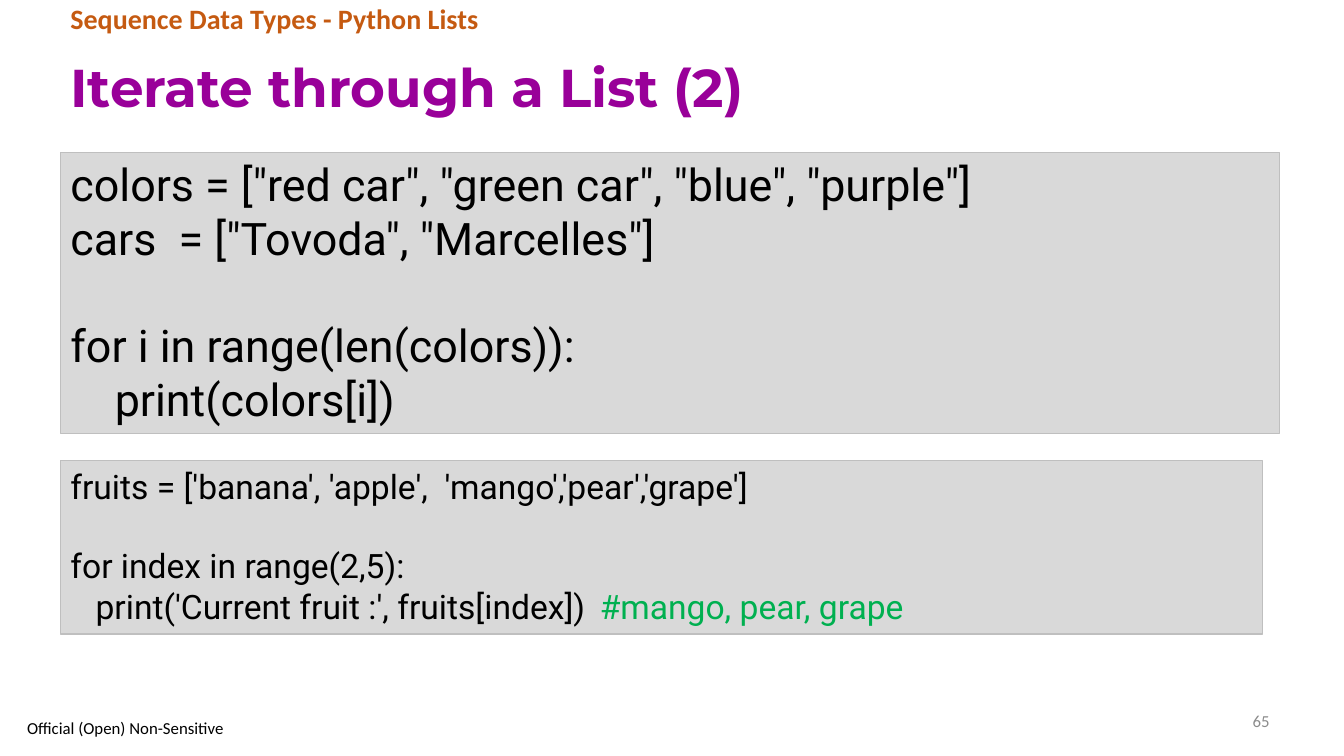
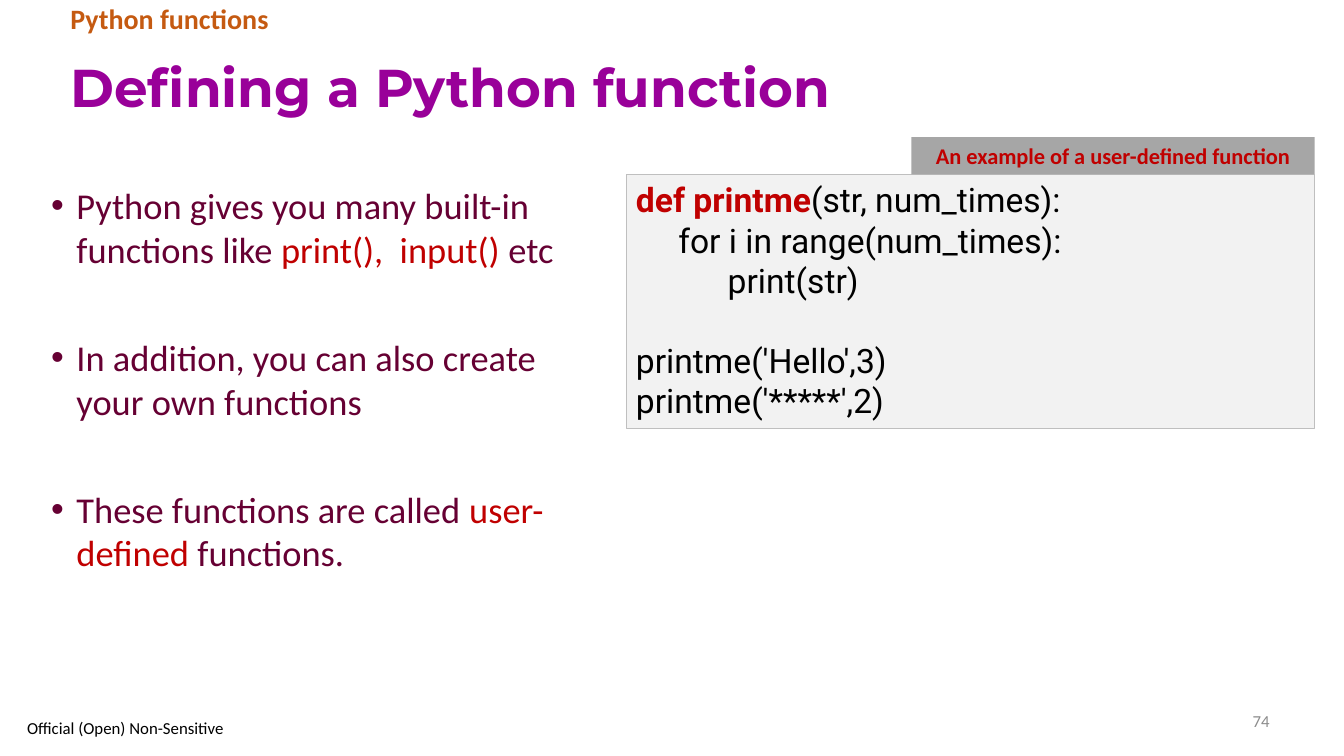
from lxml import etree
from pptx import Presentation
from pptx.dml.color import RGBColor
from pptx.enum import shapes, text
from pptx.oxml import ns
from pptx.util import Inches, Pt

HUES = {"title": "990099", "tag": "C55A11", "page": "8C8C8C", "ink": "000000",
        "body": "660033", "key": "C00000", "note": "00B050", "code": "D9D9D9",
        "pale": "F2F2F2", "edge": "BFBFBF", "label": "A6A6A6"}
MID = text.MSO_ANCHOR.MIDDLE
STYLES = {
    "title": dict(font=dict(name="Montserrat", size=Pt(38), bold=True), hue="title",
                  para=dict(line_spacing=0.9), frame=dict(vertical_anchor=MID)),
    "tag": dict(font=dict(name="Calibri", size=Pt(20), bold=True), hue="tag",
                para=dict(line_spacing=0.9)),
    "page": dict(font=dict(name="Calibri", size=Pt(12)), hue="page",
                 para=dict(alignment=text.PP_ALIGN.RIGHT), frame=dict(vertical_anchor=MID)),
    "foot": dict(font=dict(name="Calibri", size=Pt(12)), hue="ink",
                 frame=dict(vertical_anchor=MID)),
    "body": dict(font=dict(name="Calibri", size=Pt(26)), hue="body"),
    "label": dict(font=dict(name="Calibri", size=Pt(16), bold=True), hue="key",
                  para=dict(alignment=text.PP_ALIGN.CENTER)),
    "code": dict(font=dict(name="Roboto", size=Pt(24)), hue="ink"),
    "large": dict(font=dict(name="Roboto", size=Pt(32)), hue="ink"),
}
CODE = dict(alignment=text.PP_ALIGN.LEFT)


def apply(obj, vals):
    """Set each named value on an object."""
    for name, val in vals.items():
        setattr(obj, name, val)


def rgb(hue):
    """Look up a colour by name."""
    return RGBColor.from_string(HUES[hue])


def write(shape, style, lines):
    """Fill a shape with lines of (runs, paragraph format)."""
    look = STYLES[style]
    frame = shape.text_frame
    apply(frame, dict(word_wrap=True, vertical_anchor=text.MSO_ANCHOR.TOP))
    apply(frame, look.get("frame", {}))
    for num, (runs, form) in enumerate(lines):
        para = frame.add_paragraph() if num else frame.paragraphs[0]
        apply(para, {**look.get("para", {}), **form})
        for words, hue, *bold in runs:
            run = para.add_run()
            run.text = words
            apply(run.font, look["font"])
            run.font.color.rgb = rgb(hue or look["hue"])
            if bold:
                run.font.bold = bold[0]
    return frame


def label(slide, box, style, words):
    """Place one line of plain text."""
    shape = slide.shapes.add_textbox(*map(Inches, box))
    write(shape, style, [([(words, None)], {})])


def panel(slide, box, style, lines, fill, edge=None):
    """Place a filled rectangle holding text."""
    shape = slide.shapes.add_shape(shapes.MSO_SHAPE.RECTANGLE, *map(Inches, box))
    shape.shadow.inherit = False
    shape.fill.solid()
    shape.fill.fore_color.rgb = rgb(fill)
    if edge:
        shape.line.color.rgb = rgb(edge)
        shape.line.width = Pt(0.75)
    else:
        shape.line.fill.background()
    return write(shape, style, lines)


def props(para, **vals):
    """Set paragraph indents in inches and return its properties."""
    node = para._p.get_or_add_pPr()
    for name, val in vals.items():
        node.set(name, str(Inches(val)))
    return node


def code(slide, box, style, rows, fill="code", tab=None):
    """Place a code panel from rows of (indent, gap in points, runs)."""
    lines = [(runs, {**CODE, "space_before": Pt(gap)}) for _, gap, runs in rows]
    frame = panel(slide, box, style, lines, fill, "edge")
    for para, (dent, *_) in zip(frame.paragraphs, rows):
        node = props(para, marL=dent, indent=0)
        if tab:
            stops = etree.SubElement(node, ns.qn("a:tabLst"))
            etree.SubElement(stops, ns.qn("a:tab"), pos=str(Inches(tab)), algn="l")


def points(slide, box, items, gap):
    """Place a bulleted list with even gaps."""
    shape = slide.shapes.add_textbox(*map(Inches, box))
    lines = [(runs, {"space_before": Pt(gap if num else 0)})
             for num, runs in enumerate(items)]
    for para in write(shape, "body", lines).paragraphs:
        node = props(para, marL=0.25, indent=-0.25)
        etree.SubElement(node, ns.qn("a:buFont"), typeface="Arial")
        etree.SubElement(node, ns.qn("a:buChar"), char="•")


def base(deck, tag, title, page):
    """Start a slide with its shared title, tag and footers."""
    slide = deck.slides.add_slide(deck.slide_layouts[6])
    label(slide, (0.6, 0.41, 12.09, 0.97), "title", title)
    label(slide, (0.6, 0, 10.34, 0.41), "tag", tag)
    label(slide, (9.42, 6.95, 3.27, 0.4), "page", page)
    label(slide, (0.17, 7.09, 2.24, 0.26), "foot", "Official (Open) Non-Sensitive")
    return slide


def loops(deck):
    """Build the slide on looping over lists."""
    slide = base(deck, "Sequence Data Types - Python Lists", "Iterate through a List (2)", "65")
    code(slide, (0.6, 1.51, 12.09, 2.79), "large", [
        (0, 0, [('colors = ["red car", "green car", "blue", "purple"]', None)]),
        (0, 0, [('cars  = ["Tovoda", "Marcelles"]', None)]),
        (0, 38, [("for i in range(len(colors)):", None)]),
        (0.44, 0, [("print(colors[i])", None)])])
    code(slide, (0.6, 4.57, 11.92, 1.72), "code", [
        (0, 0, [("fruits = ['banana', 'apple',  'mango','pear','grape']", None)]),
        (0, 28, [("for index in range(2,5):", None)]),
        (0.25, 0, [("print('Current fruit :', fruits[index])\t", None),
                   ("#mango, pear, grape", "note")])], tab=5.36)


def define(deck):
    """Build the slide on defining functions."""
    slide = base(deck, "Python functions", "Defining a Python function", "74")
    points(slide, (0.41, 1.77, 5.32, 4.1), [
        [("Python gives you many built-in functions like ", None),
         ("print(),  input() ", "key"), ("etc", None)],
        [("In addition, you can also create your own functions", None)],
        [("These functions are called ", None), ("user-defined", "key"),
         (" functions.", None)]], 46)
    code(slide, (6.21, 1.73, 6.83, 2.52), "code", [
        (0, 0, [("def printme", "key", True), ("(str, num_times):", None)]),
        (0.42, 0, [("for i in range(num_times):", None)]),
        (0.91, 0, [("print(str)", None)]),
        (0, 28, [("printme('Hello',3)", None)]),
        (0, 0, [("printme('*****',2)", None)])], "pale")
    panel(slide, (9.04, 1.36, 4, 0.37), "label",
          [([("An example of a user-defined function", None)], {})], "label")


def main():
    """Build and save the deck."""
    deck = Presentation()
    apply(deck, dict(slide_width=Inches(13.33), slide_height=Inches(7.5)))
    loops(deck)
    define(deck)
    deck.save("out.pptx")


if __name__ == "__main__":
    main()
